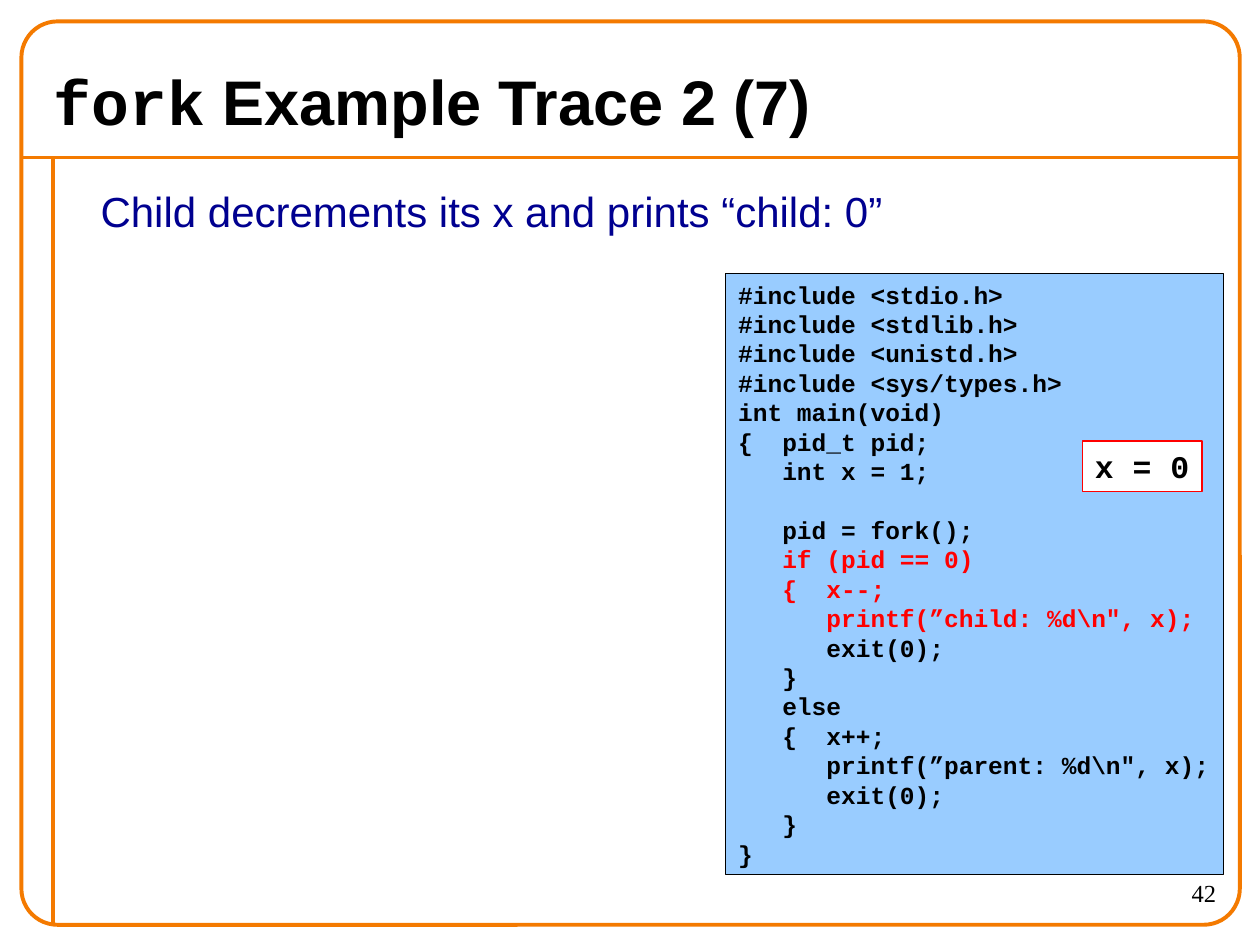
import pptx
import pptx.dml.color
import pptx.enum.shapes
import pptx.enum.text
import pptx.oxml
import pptx.oxml.ns
import pptx.util
from dataclasses import dataclass

Inches = pptx.util.Inches
Pt = pptx.util.Pt
ALIGN = pptx.enum.text.PP_ALIGN
ANCHOR = pptx.enum.text.MSO_ANCHOR
SHAPE = pptx.enum.shapes.MSO_SHAPE


@dataclass(frozen=True)
class Theme:
    frame: str = "F47A00"
    ink: str = "000000"
    active: str = "FF0000"
    caption: str = "000090"
    code_fill: str = "99CCFF"
    white: str = "FFFFFF"
    sans: str = "Arial"
    mono: str = "Courier New"
    serif: str = "Times New Roman"
    title_size: int = 36
    caption_size: int = 24
    value_size: int = 18
    small_size: int = 14
    frame_width: float = 2.25
    box_width: float = 0.75
    code_leading: float = 1.2


THEME = Theme()

CODE = r'''#include <stdio.h>
#include <stdlib.h>
#include <unistd.h>
#include <sys/types.h>
int main(void)
{  pid_t pid;
   int x = 1;

   pid = fork();
   if (pid == 0)
   {  x--;
      printf(”child: %d\n", x);
      exit(0);
   }
   else
   {  x++;
      printf(”parent: %d\n", x);
      exit(0);
   }
}'''
ACTIVE_LINES = range(9, 12)


def rgb(value):
    return pptx.dml.color.RGBColor.from_string(value)


def style_font(font, name, size, color, bold=False):
    font.name = name
    font.size = Pt(size)
    font.bold = bold
    font.color.rgb = rgb(color)


def style_line(line, color, width):
    line.color.rgb = rgb(color)
    line.width = Pt(width)


def add_rule(slide, x1, y1, x2, y2):
    rule = slide.shapes.add_connector(
        pptx.enum.shapes.MSO_CONNECTOR.STRAIGHT,
        Inches(x1), Inches(y1), Inches(x2), Inches(y2))
    style_line(rule.line, THEME.frame, THEME.frame_width)
    rule._element.spPr.append(pptx.oxml.parse_xml(
        f'<a:effectLst {pptx.oxml.ns.nsdecls("a")}/>'))


def add_frame(slide):
    add_rule(slide, 0.17, 1.25, 9.83, 1.25)
    add_rule(slide, 0.42, 1.25, 0.42, 7.33)
    border = slide.shapes.add_shape(
        SHAPE.ROUNDED_RECTANGLE,
        Inches(0.17), Inches(0.17), Inches(9.67), Inches(7.17))
    border.adjustments[0] = 0.04
    border.shadow.inherit = False
    border.fill.background()
    style_line(border.line, THEME.frame, THEME.frame_width)


def add_label(slide, left, top, width, height, text, name, size, color,
              align=ALIGN.LEFT):
    label = slide.shapes.add_textbox(
        Inches(left), Inches(top), Inches(width), Inches(height))
    label.text_frame.word_wrap = True
    paragraph = label.text_frame.paragraphs[0]
    paragraph.text = text
    paragraph.alignment = align
    style_font(paragraph.font, name, size, color)


def add_title(slide, code_word, rest):
    title = slide.shapes.add_textbox(
        Inches(0.33), Inches(0.42), Inches(9.33), Inches(0.75))
    title.text_frame.word_wrap = True
    title.text_frame.vertical_anchor = ANCHOR.MIDDLE
    paragraph = title.text_frame.paragraphs[0]
    for text, name in ((code_word, THEME.mono), (rest, THEME.sans)):
        run = paragraph.add_run()
        run.text = text
        style_font(run.font, name, THEME.title_size, THEME.ink, bold=True)


def add_code_box(slide, left, top, width, height, code, size, fill, outline,
                 active_lines=()):
    box = slide.shapes.add_shape(
        SHAPE.RECTANGLE,
        Inches(left), Inches(top), Inches(width), Inches(height))
    box.shadow.inherit = False
    box.fill.solid()
    box.fill.fore_color.rgb = rgb(fill)
    style_line(box.line, outline, THEME.box_width)
    frame = box.text_frame
    frame.word_wrap = False
    # A narrow right margin leaves room for the longest code line
    frame.margin_right = Inches(0.05)
    frame.vertical_anchor = ANCHOR.TOP
    frame.text = code
    for number, paragraph in enumerate(frame.paragraphs):
        color = THEME.active if number in active_lines else THEME.ink
        paragraph.alignment = ALIGN.LEFT
        paragraph.line_spacing = Pt(size * THEME.code_leading)
        style_font(paragraph.font, THEME.mono, size, color, bold=True)


def main():
    deck = pptx.Presentation()
    deck.slide_width, deck.slide_height = Inches(10), Inches(7.5)
    slide = deck.slides.add_slide(deck.slide_layouts[6])

    # Frame, page number and title
    add_frame(slide)
    add_label(slide, 8.75, 6.92, 1, 0.42, "42", THEME.serif,
              THEME.small_size, THEME.ink, align=ALIGN.RIGHT)
    add_title(slide, "fork", " Example Trace 2 (7)")

    # Program listing with the child's current value of x
    add_code_box(slide, 5.76, 2.17, 3.95, 4.77, CODE, THEME.small_size,
                 THEME.code_fill, THEME.ink, ACTIVE_LINES)
    add_code_box(slide, 8.59, 3.5, 0.95, 0.4, "x = 0", THEME.value_size,
                 THEME.white, THEME.active)

    # Step explanation
    add_label(slide, 0.7, 1.42, 6.6, 0.5,
              "Child decrements its x and prints “child: 0”",
              THEME.sans, THEME.caption_size, THEME.caption)

    deck.save("out.pptx")


if __name__ == "__main__":
    main()
